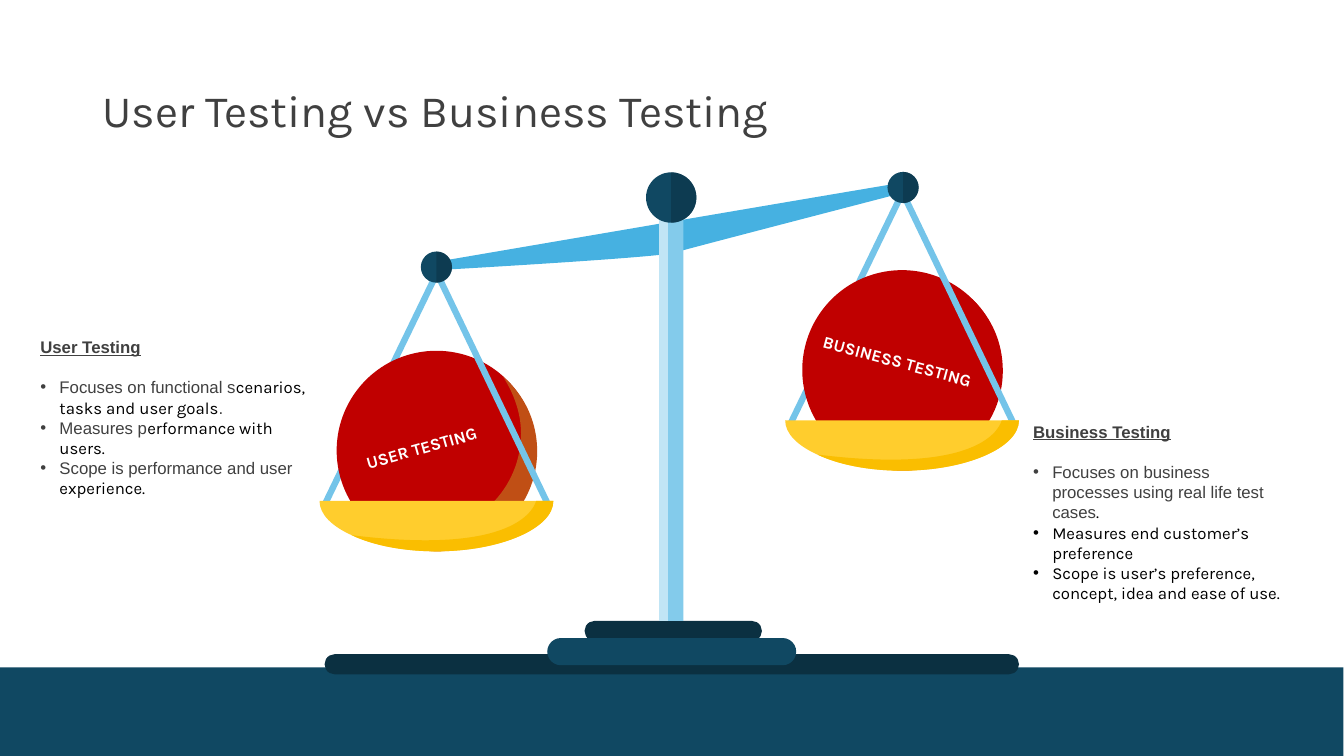
from lxml.etree import SubElement
from pptx import Presentation
from pptx.dml.color import RGBColor
from pptx.enum.shapes import MSO_CONNECTOR, MSO_SHAPE
from pptx.enum.text import MSO_ANCHOR, MSO_AUTO_SIZE, PP_ALIGN
from pptx.oxml.ns import qn
from pptx.util import Cm, Pt

# Content; all measures below are in inches
COLORS = {"navy": "104862", "dark": "0B3041", "beam": "46B1E1", "cord": "74C4E9",
          "post_light": "C1E5F5", "post": "83CBEB", "red": "C00000", "rust": "C04F15",
          "pan": "FFCD2D", "pan_shade": "FABE00", "white": "FFFFFF",
          "grey": "404040", "black": "000000"}

TITLE = "User Testing vs Business Testing"
GREY = {"name": "Arial", "color": "grey"}
BLACK = {"name": "Karla", "color": "black"}
NOTES = [
    ((0.4, 3.29, 2.68, 1.72), "User Testing", [
        [("Focuses on functional s", GREY), ("cenarios, tasks and user goals", BLACK),
         (".", GREY)],
        [("Measures p", GREY), ("erformance with users.", BLACK)],
        [("Scope is performance and user", GREY), (" experience.", BLACK)]]),
    ((10.25, 4.13, 2.55, 1.92), "Business Testing", [
        [("Focuses on business processes using real life test cases", GREY),
         (".", BLACK)],
        [("Measures end customer’s preference", BLACK)],
        [("Scope is user’s preference, concept, idea and ease of use.", BLACK)]]),
]
# Each side: shift from the left pan, knob centre, crescent colour, label, its box and angle
SIDES = [
    ((0, 0), (4.33, 2.65), "rust", "USER TESTING", (3.51, 4.24, 1.72, 0.3), 344.2),
    ((4.62, -0.8), (8.96, 1.86), "red", "BUSINESS TESTING", (8.04, 3.48, 2.09, 0.3), 15),
]
BASES = [((5.8, 6.16, 1.76, 0.2), "dark"), ((5.43, 6.33, 2.47, 0.27), "navy")]
POST = [((6.54, 2.1, 0.15, 4.06), "post_light"), ((6.63, 2.1, 0.15, 4.06), "post")]

# Outlines: a segment of one point is straight, one of three points is a curve
BEAM = [[(4.34, 2.68)],
        [(4.34, 2.68), (6.47, 2.56), (6.68, 2.51)],
        [(6.89, 2.45), (8.9, 1.93), (8.97, 1.91)],
        [(9.04, 1.89), (9.05, 1.81), (8.97, 1.81)],
        [(8.88, 1.82), (4.32, 2.6), (4.32, 2.6)],
        [(4.32, 2.6), (4.26, 2.64), (4.34, 2.68)]]
CRESCENT = [[(4.99, 3.74)], [(5.04, 3.78)],
            [(5.22, 3.96), (5.33, 4.2), (5.33, 4.48)],
            [(5.33, 5.02), (4.88, 5.47), (4.34, 5.47)],
            [(4.06, 5.47), (3.82, 5.36), (3.64, 5.18)],
            [(3.53, 5.04)], [(3.62, 5.12)],
            [(3.78, 5.23), (3.97, 5.29), (4.18, 5.29)],
            [(4.72, 5.29), (5.17, 4.85), (5.17, 4.3)],
            [(5.17, 4.1), (5.1, 3.91), (5, 3.75)]]
PAN_RIM = [[(3.7, 5.41), (4, 5.47), (4.33, 5.47)],
           [(4.97, 5.47), (5.49, 5.24), (5.49, 4.97)]]
PAN = [[(5.32, 4.97)], [(3.17, 4.97)],
       [(3.17, 5.1), (3.29, 5.22), (3.49, 5.31)]] + PAN_RIM
PAN_SHADE = [[(5.32, 4.97)], [(5.28, 5.1), (5.02, 5.5), (3.49, 5.31)]] + PAN_RIM
# Right half of a circle of radius 1
HALF_DISC = [[(0, -1)],
             [(0.55, -1), (1, -0.55), (1, 0)],
             [(1, 0.55), (0.55, 1), (0, 1)]]

deck = Presentation()
deck.slide_width, deck.slide_height = Cm(33.87), Cm(19.05)
page = deck.slides.add_slide(deck.slide_layouts[6])


def length(inches):
    return Cm(inches * 2.54)


def rgb(name):
    return RGBColor.from_string(COLORS[name])


def paint(shape, color, opacity=100):
    shape.shadow.inherit = False
    shape.line.fill.background()
    shape.fill.solid()
    shape.fill.fore_color.rgb = rgb(color)
    if opacity < 100:
        tint = shape.fill._xPr.find(qn("a:solidFill"))[0]
        SubElement(tint, qn("a:alpha"), val=str(opacity * 1000))


def add_block(kind, place, color):
    shape = page.shapes.add_shape(kind, *map(length, place))
    paint(shape, color)
    return shape


def add_bar(place, color):
    add_block(MSO_SHAPE.ROUNDED_RECTANGLE, place, color).adjustments[0] = 0.5


def add_outline(outline, color, shift=(0, 0), scale=1, opacity=100):
    points = [(length(x * scale + shift[0]), length(y * scale + shift[1]))
              for segment in outline for x, y in segment]
    builder = page.shapes.build_freeform(*points[0], scale=1.0)
    builder.add_line_segments(points[1:], close=True)
    shape = builder.convert_to_shape()
    paint(shape, color, opacity)
    # Join each run of three control points into one curve
    steps = iter(list(shape._element.iter(qn("a:lnTo"))))
    for segment in outline[1:]:
        lines = [next(steps) for _ in segment]
        if len(lines) == 3:
            curve = lines[0].makeelement(qn("a:cubicBezTo"))
            lines[0].addprevious(curve)
            for line in lines:
                curve.append(line[0])
                line.getparent().remove(line)


def add_knob(x, y, radius):
    add_block(MSO_SHAPE.OVAL, (x - radius, y - radius, 2 * radius, 2 * radius), "navy")
    add_outline(HALF_DISC, "dark", (x, y), radius, 50)


def add_cord(start, end, shift):
    ends = [length(v + move) for point in (start, end) for v, move in zip(point, shift)]
    cord = page.shapes.add_connector(MSO_CONNECTOR.STRAIGHT, *ends)
    cord.line.color.rgb, cord.line.width = rgb("cord"), Pt(4.5)
    SubElement(cord._element.spPr, qn("a:effectLst"))


def add_box(place, **formats):
    box = page.shapes.add_textbox(*map(length, place))
    for key, value in {"word_wrap": True, **formats}.items():
        setattr(box.text_frame, key, value)
    return box


def add_span(para, text, color, **formats):
    span = para.add_run()
    span.text = text
    span.font.color.rgb = rgb(color)
    for key, value in {"size": Pt(12), "name": "Karla", **formats}.items():
        setattr(span.font, key, value)


def add_bullet(para):
    props = para._p.get_or_add_pPr()
    indent = length(0.19)
    props.set("marL", str(indent))
    props.set("indent", str(-indent))
    SubElement(props, qn("a:buFont"), typeface="Arial")
    SubElement(props, qn("a:buChar"), char="•")


# Ground, foot and beam
add_block(MSO_SHAPE.RECTANGLE, (0, 6.62, 13.33, 0.88), "navy")
add_bar((3.22, 6.49, 6.89, 0.2), "dark")
add_outline(BEAM, "beam")

# Title
title = add_box((0.92, 0.4, 11.5, 1.45), vertical_anchor=MSO_ANCHOR.MIDDLE)
heading = title.text_frame.paragraphs[0]
heading.line_spacing = 0.9
add_span(heading, TITLE, "grey", size=Pt(32))

# Post on its two steps
for place, color in BASES:
    add_bar(place, color)
for place, color in POST:
    add_block(MSO_SHAPE.RECTANGLE, place, color)
add_knob(6.66, 1.96, 0.25)

# Two hanging pans with their balls
for shift, knob, crescent, *_ in SIDES:
    dx, dy = shift
    add_cord((3.22, 5.01), (4.34, 2.7), shift)
    add_block(MSO_SHAPE.OVAL, (3.34 + dx, 3.48 + dy, 1.98, 1.98), "red")
    add_outline(CRESCENT, crescent, shift)
    add_cord((5.44, 5.01), (4.33, 2.7), shift)
    add_knob(*knob, 0.155)
    add_outline(PAN, "pan", shift)
    add_outline(PAN_SHADE, "pan_shade", shift)

# Tilted labels on the balls
for *_, label, place, angle in SIDES:
    box = add_box(place, auto_size=MSO_AUTO_SIZE.SHAPE_TO_FIT_TEXT)
    box.rotation = angle
    add_span(box.text_frame.paragraphs[0], label, "white", bold=True)

# Notes beside the pans
for place, head, bullets in NOTES:
    frame = add_box(place, margin_left=0, margin_right=0,
                    auto_size=MSO_AUTO_SIZE.SHAPE_TO_FIT_TEXT).text_frame
    para = frame.paragraphs[0]
    para.alignment, para.space_after = PP_ALIGN.LEFT, Pt(14.5)
    add_span(para, head, **GREY, bold=True, underline=True)
    for spans in bullets:
        para = frame.add_paragraph()
        add_bullet(para)
        for text, style in spans:
            add_span(para, text, **style)

deck.save("out.pptx")
